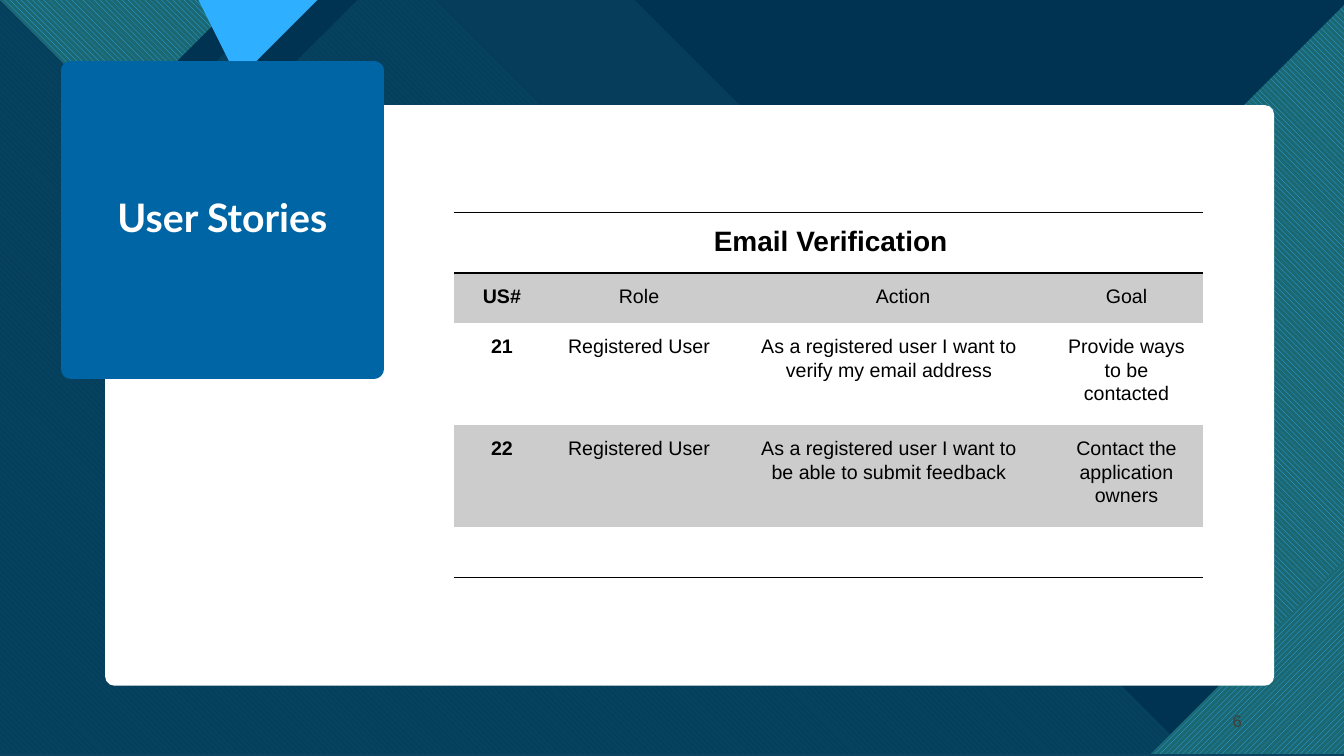
"""Build the User Stories slide: diagonal backdrop, title tile and story table."""
from lxml import etree
from pptx import Presentation, util as u
from pptx.dml.color import RGBColor
from pptx.enum import dml, shapes, text
from pptx.oxml.ns import qn

COLORS = {
    "base": "0C4360", "navy": "003352", "teal": "47C3D3", "pine": "1B6872",
    "sky": "2FAFFF", "blue": "0065A4", "white": "FFFFFF", "black": "000000",
    "band": "CCCCCC", "number": "404040",
}
WIDTH, HEIGHT = 33.87, 19.05


def paint(fill, name):
    fill.solid()
    fill.fore_color.rgb = RGBColor.from_string(COLORS[name])


def write(para, words, font, size, color, bold, align):
    para.text = words
    para.alignment = align
    para.font.name, para.font.size, para.font.bold = font, u.Pt(size), bold
    para.font.color.rgb = RGBColor.from_string(COLORS[color])


deck = Presentation()
deck.slide_width, deck.slide_height = u.Cm(WIDTH), u.Cm(HEIGHT)
page = deck.slides.add_slide(deck.slide_layouts[6])
paint(page.background.fill, "base")

down = dml.MSO_PATTERN.WIDE_DOWNWARD_DIAGONAL
up = dml.MSO_PATTERN.WIDE_UPWARD_DIAGONAL
corners = [(WIDTH, HEIGHT), (0, HEIGHT)]
backdrop = [
    ("teal", None, None, 74, [(0, 0), (20.98, 0), (28.52, 7.54), (31.37, 7.54), (WIDTH, 10.06), *corners]),
    ("blue", "teal", down, 100, [(0, 0), (11.4, 0), (18.95, 7.54), (22.15, 7.54), (33.66, HEIGHT), (0, HEIGHT)]),
    ("navy", None, None, 100, [(16.26, 0), (WIDTH, 0), (WIDTH, 17.6)]),
    ("navy", None, None, 90, [(0, 0), (17.65, 0), (25.2, 7.54), (28.4, 7.54), (WIDTH, 13.03), *corners]),
    ("navy", None, None, 100, [(WIDTH, 1.73), (WIDTH, HEIGHT), (30.35, HEIGHT), (23.44, 12.14)]),
    ("sky", "pine", down, 100, [(WIDTH, 0), (WIDTH, HEIGHT), (33, HEIGHT), (23.93, 9.98)]),
    ("sky", "pine", up, 100, [(WIDTH, 14.38), (WIDTH, HEIGHT), (29.18, HEIGHT)]),
    ("navy", None, None, 100, [(0.74, 0), (6.76, 0), (3.73, 3)]),
    ("sky", "pine", down, 100, [(0, 0), (5.89, 0), (2.9, 2.97)]),
    ("navy", None, None, 100, [(5.31, 0), (8.51, 0), (6.91, 1.6)]),
    ("sky", None, None, 100, [(4.85, 0), (7.95, 0), (6.4, 1.55)]),
]
for front, back, pattern, opacity, points in backdrop:
    builder = page.shapes.build_freeform(*points[0], scale=u.Cm(1))
    builder.add_line_segments(points[1:], close=True)
    facet = builder.convert_to_shape()
    facet.shadow.inherit = False
    facet.line.fill.background()
    if pattern:
        facet.fill.patterned()
        facet.fill.pattern = pattern
        facet.fill.fore_color.rgb = RGBColor.from_string(COLORS[front])
        facet.fill.back_color.rgb = RGBColor.from_string(COLORS[back])
    else:
        paint(facet.fill, front)
    if opacity < 100:
        tint = facet.fill._xPr.find(qn("a:solidFill"))[0]
        etree.SubElement(tint, qn("a:alpha"), val=str(opacity * 1000))

card = page.shapes.add_shape(shapes.MSO_SHAPE.ROUNDED_RECTANGLE, u.Cm(2.65), u.Cm(2.65), u.Cm(29.46), u.Cm(14.63))
card.adjustments[0] = 0.016
card.shadow.inherit = False
paint(card.fill, "white")
card.line.fill.background()

tile = page.shapes.add_shape(shapes.MSO_SHAPE.RECTANGLE, u.Cm(1.78), u.Cm(1.78), u.Cm(7.65), u.Cm(7.52))
tile.shadow.inherit = False
paint(tile.fill, "blue")
paint(tile.line.fill, "blue")
tile.line.width = u.Pt(13.75)
etree.SubElement(tile.line._ln, qn("a:round"))
tile.text_frame.vertical_anchor = text.MSO_ANCHOR.MIDDLE
write(tile.text_frame.paragraphs[0], "User Stories", "Lato", 28, "white", True, text.PP_ALIGN.CENTER)
tile.text_frame.paragraphs[0].line_spacing = 0.9

number = page.shapes.add_textbox(u.Cm(23.93), u.Cm(17.65), u.Cm(7.62), u.Cm(1.02))
number.text_frame.word_wrap = True
number.text_frame.vertical_anchor = text.MSO_ANCHOR.MIDDLE
write(number.text_frame.paragraphs[0], "6", "Arial", 12, "number", False, text.PP_ALIGN.RIGHT)
number.text_frame.paragraphs[0].space_after = u.Pt(6)

stories = [
    ["Email Verification", "", "", ""],
    ["US#", "Role", "Action", "Goal"],
    ["21", "Registered User", "As a registered user I want to verify my email address", "Provide ways to be contacted"],
    ["22", "Registered User", "As a registered user I want to be able to submit feedback", "Contact the application owners"],
    ["", "", "", ""],
]
column_widths = [2.31, 4.6, 8, 3.97]
row_heights = [1.52, 1.27, 2.57, 2.57, 1.27]
borders = {0: ["a:lnT", "a:lnB"], 4: ["a:lnB"]}
frame = page.shapes.add_table(5, 4, u.Cm(11.43), u.Cm(5.36), u.Cm(sum(column_widths)), u.Cm(sum(row_heights)))
table = frame.table
table.first_row = table.horz_banding = False
table._tbl.tblPr.find(qn("a:tableStyleId")).text = "{2D5ABB26-0587-4C30-8999-92F81FD0307C}"
for column, width in zip(table.columns, column_widths):
    column.width = u.Cm(width)
for row, height in zip(table.rows, row_heights):
    row.height = u.Cm(height)
for r, story in enumerate(stories):
    for c, words in enumerate(story):
        cell = table.cell(r, c)
        cell.margin_left, cell.margin_right = u.Cm(0.56), u.Cm(0.43)
        cell.margin_top = cell.margin_bottom = u.Cm(0.28)
        para = cell.text_frame.paragraphs[0]
        write(para, words, "Arial", 14 if r else 20, "black", r == 0 or c == 0, text.PP_ALIGN.CENTER)
        para.line_spacing = 1.07
        for side in borders.get(r, []):
            edge = etree.SubElement(cell._tc.get_or_add_tcPr(), qn(side), w=str(u.Pt(1)))
            ink = etree.SubElement(edge, qn("a:solidFill"))
            etree.SubElement(ink, qn("a:srgbClr"), val=COLORS["black"])
        if r in (1, 3):
            paint(cell.fill, "band")
        else:
            cell.fill.background()
table.cell(0, 0).merge(table.cell(0, 3))
table.cell(1, 2).margin_left = u.Cm(1.27)

deck.save("out.pptx")
